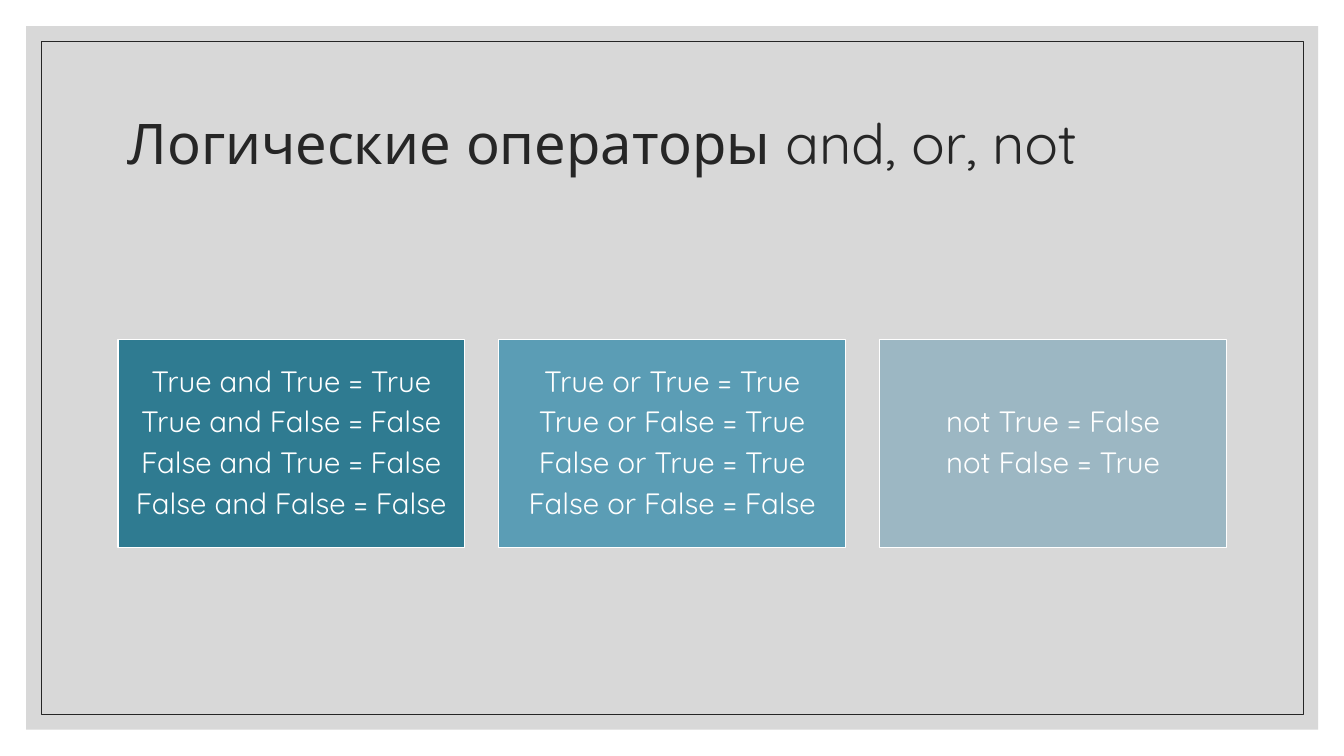
import pptx
import pptx.dml.color
import pptx.enum.shapes
import pptx.enum.text
import pptx.oxml
import pptx.oxml.ns
import pptx.util

Cm = pptx.util.Cm
Pt = pptx.util.Pt
Align = pptx.enum.text.PP_ALIGN

FONT = "Quicksand"
COLOURS = {
    "backdrop": "BFBFBF",
    "ink": "262626",
    "white": "FFFFFF",
    "and": "2F7B91",
    "or": "5B9DB5",
    "not": "9CB7C3",
}
TITLE = "Логические операторы and, or, not"
TRUTH_TABLES = {
    "and": [
        "True and True = True",
        "True and False = False",
        "False and True = False",
        "False and False = False",
    ],
    "or": [
        "True or True = True",
        "True or False = True",
        "False or True = True",
        "False or False = False",
    ],
    "not": ["not True = False", "not False = True"],
}


def colour(name):
    """Return the named colour."""
    return pptx.dml.color.RGBColor.from_string(COLOURS[name])


def write(shape, lines, *, size, ink, align, inset, space_after=0):
    """Write lines of text into a shape, one paragraph each."""
    frame = shape.text_frame
    frame.word_wrap = True
    frame.vertical_anchor = pptx.enum.text.MSO_ANCHOR.MIDDLE
    frame.margin_left = frame.margin_right = Cm(inset)
    frame.margin_top = frame.margin_bottom = Cm(inset)
    for index, line in enumerate(lines):
        para = frame.add_paragraph() if index else frame.paragraphs[0]
        para.alignment = align
        para.line_spacing = 0.9
        para.space_after = Pt(space_after)
        span = para.add_run()
        span.text = line
        span.font.name = FONT
        span.font.size = Pt(size)
        span.font.color.rgb = colour(ink)


def add_box(page, left, top, width, height, *, fill=None, line=None, weight=0.5):
    """Add a flat rectangle, measured in centimetres."""
    box = page.shapes.add_shape(
        pptx.enum.shapes.MSO_SHAPE.RECTANGLE,
        Cm(left), Cm(top), Cm(width), Cm(height),
    )
    box.shadow.inherit = False
    if fill:
        box.fill.solid()
        box.fill.fore_color.rgb = colour(fill)
    else:
        box.fill.background()
    if line:
        box.line.color.rgb = colour(line)
        box.line.width = Pt(weight)
    else:
        box.line.fill.background()
    return box


def add_frame(page, left, top, width, height, gap=0.38):
    """Draw the translucent backdrop and the thin outline inside it."""
    backdrop = add_box(page, left, top, width, height, fill="backdrop")
    tint = backdrop.fill._xPr.find(".//" + pptx.oxml.ns.qn("a:srgbClr"))
    tint.append(pptx.oxml.parse_xml(
        f'<a:alpha {pptx.oxml.ns.nsdecls("a")} val="60000"/>'
    ))
    add_box(page, left + gap, top + gap, width - 2 * gap, height - 2 * gap, line="ink")


def add_title(page, left, top, width, height):
    """Place the slide title."""
    box = page.shapes.add_textbox(Cm(left), Cm(top), Cm(width), Cm(height))
    write(box, [TITLE], size=40, ink="ink", align=Align.LEFT, inset=0.25)


def add_truth_cards(page, left, top, width, height, gap=0.86):
    """Place one card per operator, equally spaced across the width."""
    card_width = (width - gap * (len(TRUTH_TABLES) - 1)) / len(TRUTH_TABLES)
    for index, (operator, lines) in enumerate(TRUTH_TABLES.items()):
        card = add_box(
            page, left + index * (card_width + gap), top, card_width, height,
            fill=operator, line="white", weight=1,
        )
        write(card, lines, size=21, ink="white", align=Align.CENTER,
              inset=0.22, space_after=6.4)


def main():
    """Build and save the deck."""
    deck = pptx.Presentation()
    deck.slide_width, deck.slide_height = Cm(33.87), Cm(19.05)
    page = deck.slides.add_slide(deck.slide_layouts[6])
    add_frame(page, 0.66, 0.66, 32.56, 17.73)
    add_title(page, 2.97, 1.78, 27.94, 3.81)
    add_truth_cards(page, 2.97, 8.56, 27.94, 5.24)
    deck.save("out.pptx")


if __name__ == "__main__":
    main()
